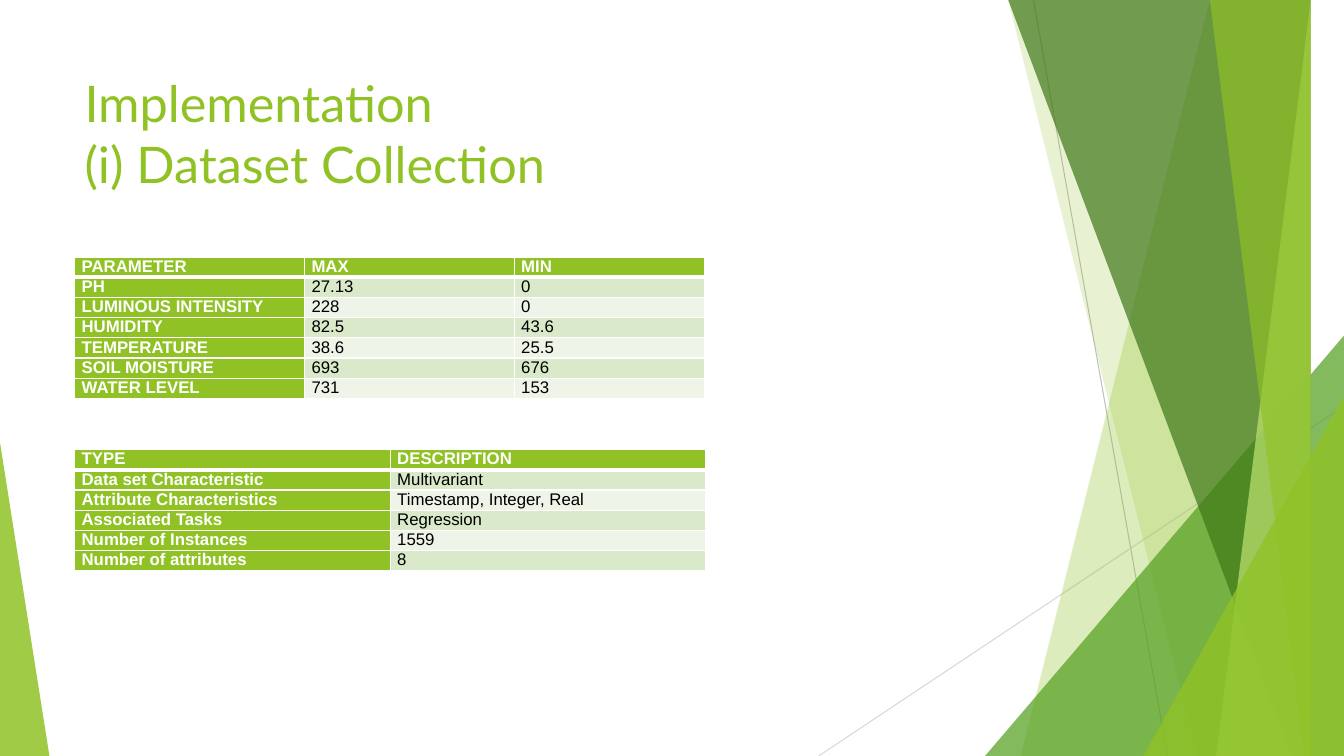
from dataclasses import dataclass

from lxml import etree
from pptx import Presentation
from pptx import util as u
from pptx.dml.color import RGBColor
from pptx.enum import shapes, text
from pptx.oxml import ns

LIME = RGBColor(0x90, 0xC2, 0x26)
GREEN = RGBColor(0x54, 0xA0, 0x21)
FOREST = RGBColor(0x3F, 0x78, 0x18)
PALE = RGBColor(0xBF, 0xE4, 0x71)
BAND_A = RGBColor(0xDB, 0xE9, 0xCB)
BAND_B = RGBColor(0xEE, 0xF4, 0xE7)
GRAY = RGBColor(0xBF, 0xBF, 0xBF)
SILVER = RGBColor(0xD8, 0xD8, 0xD8)
WHITE = RGBColor(0xFF, 0xFF, 0xFF)
BLACK = RGBColor(0, 0, 0)
WIDE, HIGH = 13.33, 7.5


@dataclass
class Line:
    start: tuple[float, float]
    end: tuple[float, float]
    color: RGBColor


@dataclass
class Facet:
    """A band that reaches from its slanted left edge to the right slide edge."""
    top: float
    base: float
    color: RGBColor
    alpha: int


@dataclass
class Wedge:
    """A right triangle on the bottom edge; peak is 0 for left, 1 for right."""
    left: float
    top: float
    width: float
    peak: int
    color: RGBColor
    alpha: int


@dataclass
class Grid:
    top: float
    cols: list[float]
    rows: list[list[str]]


LINES = [
    Line((10.25, 0), (11.58, HIGH), GRAY),
    Line((WIDE, 4.03), (8.12, HIGH), SILVER),
]
DECOR = [
    Facet(12.28, 10.04, LIME, 30),
    Facet(10.5, 11.83, LIME, 20),
    Wedge(9.77, 3.33, 3.56, 1, GREEN, 72),
    Facet(10.21, 12.91, FOREST, 70),
    Facet(13.03, 11.92, PALE, 70),
    Facet(11.96, 13.18, LIME, 65),
    Wedge(11.34, 3.93, 1.99, 1, LIME, 80),
    Wedge(0, 4.39, 0.49, 0, LIME, 85),
]
GRIDS = [
    Grid(2.55, [2.28, 2.08, 1.89], [
        ["PARAMETER", "MAX", "MIN"],
        ["PH", "27.13", "0"],
        ["LUMINOUS INTENSITY", "228", "0"],
        ["HUMIDITY", "82.5", "43.6"],
        ["TEMPERATURE", "38.6", "25.5"],
        ["SOIL MOISTURE", "693", "676"],
        ["WATER LEVEL", "731", "153"],
    ]),
    Grid(4.46, [3.13, 3.13], [
        ["TYPE", "DESCRIPTION"],
        ["Data set Characteristic", "Multivariant"],
        ["Attribute Characteristics", "Timestamp, Integer, Real"],
        ["Associated Tasks", "Regression"],
        ["Number of Instances", "1559"],
        ["Number of attributes", "8"],
    ]),
]


def write(frame, *lines: str, font: str, size: float, color: RGBColor,
          bold: bool = False) -> None:
    para = frame.paragraphs[0]
    for i, line in enumerate(lines):
        if i:
            para.add_line_break()
        run = para.add_run()
        run.text = line
        run.font.name, run.font.size = font, u.Pt(size)
        run.font.bold, run.font.color.rgb = bold, color


def tint(shape, color: RGBColor, alpha: int) -> None:
    """Fill a shape with a see-through colour, without line or shadow."""
    shape.shadow.inherit = False
    shape.line.fill.background()
    shape.fill.solid()
    shape.fill.fore_color.rgb = color
    node = shape._element.spPr.find(".//" + ns.qn("a:srgbClr"))
    etree.SubElement(node, ns.qn("a:alpha"), val=str(alpha * 1000))


def draw_line(slide, line: Line) -> None:
    ends = [u.Inches(n) for n in (*line.start, *line.end)]
    item = slide.shapes.add_connector(shapes.MSO_CONNECTOR.STRAIGHT, *ends)
    item.line.color.rgb = line.color
    item.line.width = u.Pt(0.75)
    etree.SubElement(item._element.spPr, ns.qn("a:effectLst"))


def draw_facet(slide, facet: Facet) -> None:
    path = slide.shapes.build_freeform(facet.top, 0, scale=u.Inches(1))
    path.add_line_segments([(WIDE, 0), (WIDE, HIGH), (facet.base, HIGH)])
    tint(path.convert_to_shape(), facet.color, facet.alpha)


def draw_wedge(slide, wedge: Wedge) -> None:
    item = slide.shapes.add_shape(
        shapes.MSO_SHAPE.ISOSCELES_TRIANGLE, u.Inches(wedge.left),
        u.Inches(wedge.top), u.Inches(wedge.width), u.Inches(HIGH - wedge.top))
    item.adjustments[0] = wedge.peak
    tint(item, wedge.color, wedge.alpha)


def edge(cell, side: str, width: float) -> None:
    """Add one white border; call before the fill, in order L, R, T, B."""
    node = etree.SubElement(cell._tc.get_or_add_tcPr(), ns.qn("a:ln" + side),
                            w=str(u.Pt(width)))
    fill = etree.SubElement(node, ns.qn("a:solidFill"))
    etree.SubElement(fill, ns.qn("a:srgbClr"), val=str(WHITE))


def draw_grid(slide, grid: Grid) -> None:
    high = 0.17
    table = slide.shapes.add_table(
        len(grid.rows), len(grid.cols), u.Inches(0.74), u.Inches(grid.top),
        u.Inches(sum(grid.cols)), u.Inches(high * len(grid.rows))).table
    for col, width in zip(table.columns, grid.cols):
        col.width = u.Inches(width)
    for r, row in enumerate(grid.rows):
        table.rows[r].height = u.Inches(high)
        for c, label in enumerate(row):
            cell = table.cell(r, c)
            cell.margin_left = cell.margin_right = u.Inches(0.07)
            cell.margin_top = cell.margin_bottom = 0
            for side in "LRTB":
                thick = (r, side) in ((0, "B"), (1, "T"))
                edge(cell, side, 3 if thick else 1)
            head = r == 0 or c == 0
            cell.fill.solid()
            cell.fill.fore_color.rgb = (
                LIME if head else BAND_A if r % 2 else BAND_B)
            write(cell.text_frame, label, font="Arial", size=12, bold=head,
                  color=WHITE if head else BLACK)


def draw_title(slide) -> None:
    box = slide.shapes.add_textbox(u.Inches(0.74), u.Inches(0.67),
                                   u.Inches(9.4), u.Inches(1.44))
    box.text_frame.word_wrap = True
    box.text_frame.vertical_anchor = text.MSO_ANCHOR.TOP
    write(box.text_frame, "Implementation", "(i) Dataset Collection",
          font="Lato", size=36, color=LIME)


def main() -> None:
    deck = Presentation()
    deck.slide_width, deck.slide_height = u.Inches(WIDE), u.Inches(HIGH)
    slide = deck.slides.add_slide(deck.slide_layouts[6])
    for line in LINES:
        draw_line(slide, line)
    for part in DECOR:
        if isinstance(part, Facet):
            draw_facet(slide, part)
        else:
            draw_wedge(slide, part)
    draw_title(slide)
    for grid in GRIDS:
        draw_grid(slide, grid)
    deck.save("out.pptx")


if __name__ == "__main__":
    main()
